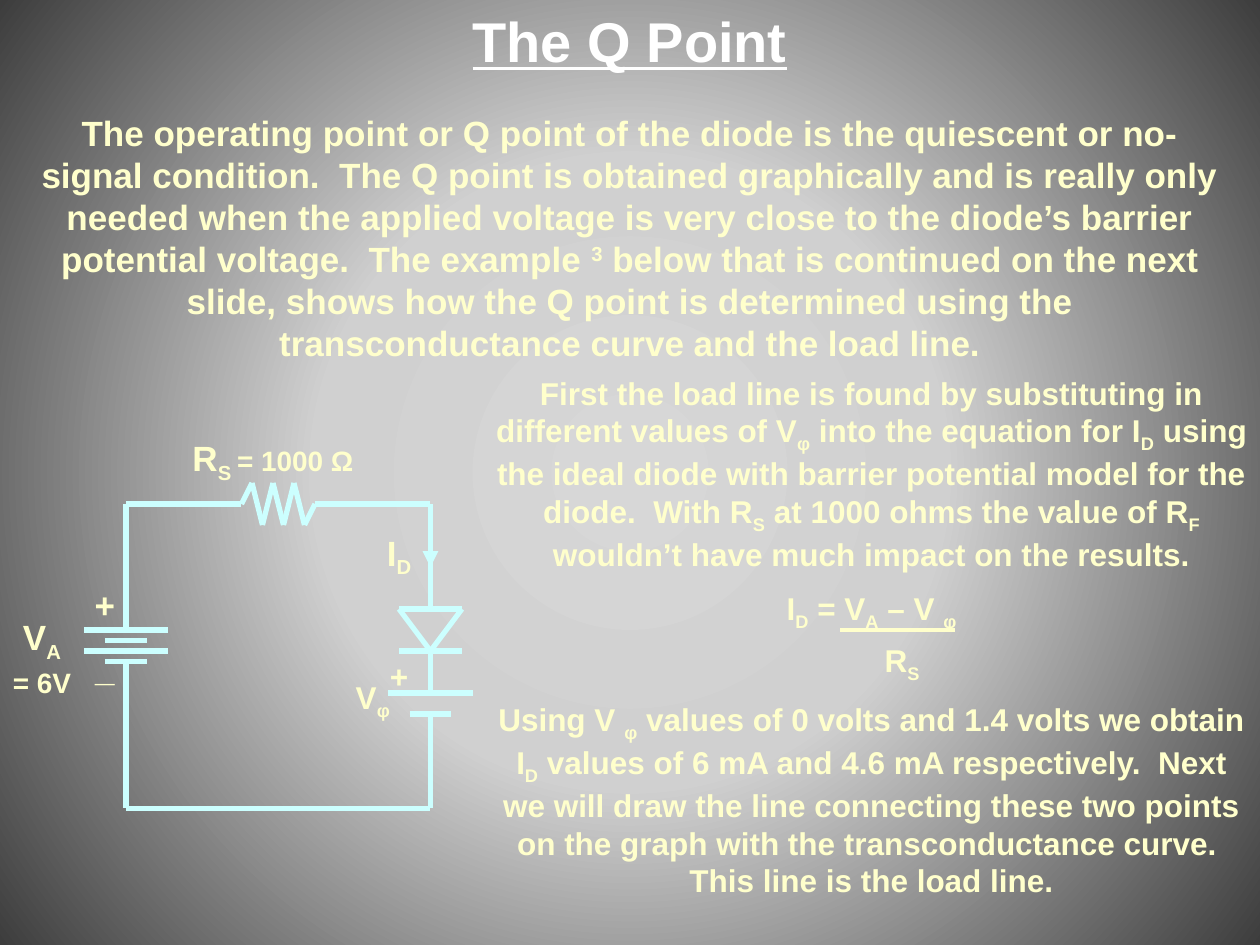
"""Build the Q Point slide with its diode circuit and load line notes."""
from itertools import pairwise
from lxml.etree import SubElement
from pptx import Presentation
from pptx.dml.color import RGBColor
from pptx.enum.shapes import MSO_CONNECTOR
from pptx.enum.text import MSO_AUTO_SIZE, PP_ALIGN
from pptx.oxml import parse_xml
from pptx.oxml.ns import nsdecls, qn
from pptx.util import Pt

hue = RGBColor.from_string
deck = Presentation()
deck.slide_width, deck.slide_height = Pt(720), Pt(540)
slide = deck.slides.add_slide(deck.slide_layouts[6])

slide.background.fill.gradient()
grad = slide.background.fill._fill._gradFill
for node in list(grad):
    grad.remove(node)
stops = SubElement(grad, qn("a:gsLst"))
for pos, tone in (0, "D7D7D7"), (40, "D0D0D0"), (100, "3D3D3D"):
    stop = SubElement(stops, qn("a:gs"), pos=str(pos * 1000))
    SubElement(stop, qn("a:srgbClr"), val=tone)
grad.append(parse_xml(
    f'<a:path {nsdecls("a")} path="circle">'
    '<a:fillToRect l="50000" t="50000" r="50000" b="50000"/></a:path>'))

UNIT = 6
CREAM, AQUA = "FFFFCC", "CCFFFF"
BASES = {"~": "-25000", "^": "30000"}


def write(area, size, paras, tone=CREAM, line=None):
    """Place centred text; |~ lowers a part, |^ raises it, |@ sets it at 16."""
    box = slide.shapes.add_textbox(*(Pt(n * UNIT) for n in area))
    frame = box.text_frame
    form = {"word_wrap": True, "auto_size": MSO_AUTO_SIZE.SHAPE_TO_FIT_TEXT}
    for key, val in form.items():
        setattr(frame, key, val)
    for num, (gap, indent, text) in enumerate(paras):
        para = frame.add_paragraph() if num else frame.paragraphs[0]
        form = {"alignment": PP_ALIGN.CENTER, "space_before": Pt(gap)}
        for key, val in form.items():
            setattr(para, key, val)
        if indent:
            para._p.get_or_add_pPr().set("marL", str(Pt(indent)))
        for part in text.split("|"):
            mark = part[:1]
            run = para.add_run()
            run.text = part[1:] if mark in "~^@" else part
            form = {"name": "Arial", "size": Pt(16 if mark == "@" else size),
                    "bold": True, "underline": line}
            for key, val in form.items():
                setattr(run.font, key, val)
            run.font.color.rgb = hue(tone)
            if mark in BASES:
                run._r.get_or_add_rPr().set("baseline", BASES[mark])


def draw(points, tone=AQUA, width=3, arrow=False):
    """Join grid points with straight lines."""
    for ends in pairwise(points):
        spots = [Pt(n * UNIT) for end in ends for n in end]
        wire = slide.shapes.add_connector(MSO_CONNECTOR.STRAIGHT, *spots)
        wire.line.color.rgb = hue(tone)
        wire.line.width = Pt(width)
        if arrow:
            SubElement(wire.line._get_or_add_ln(), qn("a:tailEnd"), type="triangle")
        SubElement(wire._element.spPr, qn("a:effectLst"))


write((12, 0, 96, 7.5), 32, [(0, 0, "The Q Point")], "FFFFFF", True)
write((2, 10, 116, 25.2), 20, [(0, 0, (
    "The operating point or Q point of the diode is the quiescent or no-signal "
    "condition.  The Q point is obtained graphically and is really only needed "
    "when the applied voltage is very close to the diode’s barrier potential "
    "voltage.  The example |^3| below that is continued on the next slide, shows "
    "how the Q point is determined using the transconductance curve and the "
    "load line."))])

peaks = [(24 + n, 50 if n % 2 else 46) for n in range(6)]
draw([(12, 60), (12, 48), (23, 48), *peaks, (30, 48), (41, 48), (41, 58)])
draw([(12, 63), (12, 77), (41, 77), (41, 68)])
draw([(38, 58), (44, 58), (41, 62), (38, 58)])
draw([(41, 62), (41, 66)])
draw([(41, 48), (41, 54)], arrow=True)
plates = [(12, 60, 4), (12, 61, 2), (12, 62, 4), (12, 63, 2),
          (41, 62, 3), (41, 66, 4), (41, 68, 2)]
for mid, y, half in plates:
    draw([(mid - half, y), (mid + half, y)])

labels = [
    ((7, 55, 6, 5.2), 20, "+"),
    ((7, 61, 6, 5.2), 20, "_"),
    ((34, 50, 8, 5.2), 20, "I|~D"),
    ((17, 41, 18, 5.2), 20, "R|~S |@= 1000 Ω"),
    ((31, 64, 9, 8.4), 18, "V|~φ"),
    ((35, 62, 6, 4.8), 18, "+"),
]
for area, size, text in labels:
    write(area, size, [(0, 0, text)])
write((0, 58, 8, 8.8), 20, [(0, 0, "V|~A"), (1.6, 0, "@= 6V")])

write((46, 35, 74, 49.2), 18, [
    (0, 0, "First the load line is found by substituting in different values of "
           "V|~φ| into the equation for I|~D| using the ideal diode with barrier "
           "potential model for the diode.  With R|~S| at 1000 ohms the value of "
           "R|~F| wouldn’t have much impact on the results."),
    (9, 0, "I|~D| = V|~A| – V |~φ"),
    (5.4, 35, "R|~S"),
    (9, 0, "Using V |~φ| values of 0 volts and 1.4 volts we obtain I|~D| values "
           "of 6 mA and 4.6 mA respectively.  Next we will draw the line "
           "connecting these two points on the graph with the transconductance "
           "curve.  This line is the load line."),
])
draw([(80, 60), (91, 60)], CREAM, 2)

deck.save("out.pptx")
